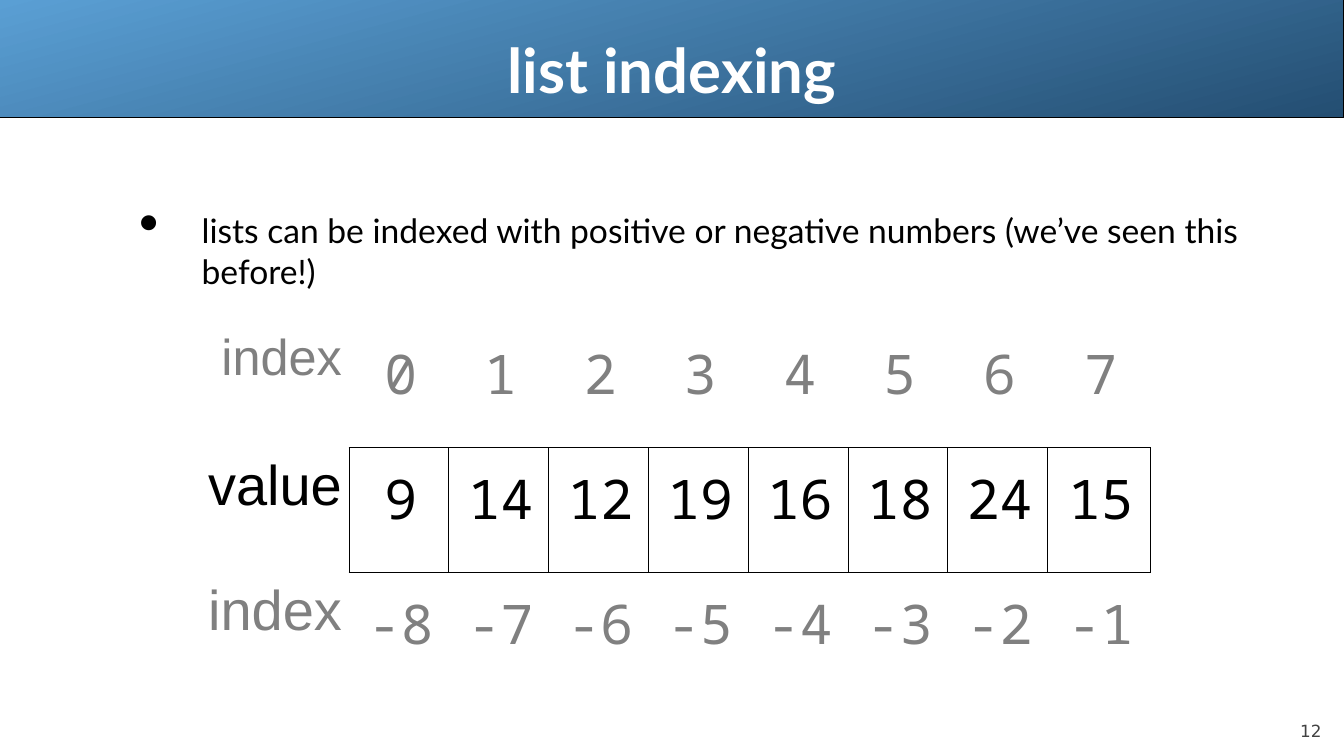
import pptx
import pptx.util
import pptx.dml.color
import pptx.enum.shapes
import pptx.enum.text
import lxml.etree
from dataclasses import dataclass

Inches, Pt = pptx.util.Inches, pptx.util.Pt
Align, Anchor = pptx.enum.text.PP_ALIGN, pptx.enum.text.MSO_ANCHOR
NS = "http://schemas.openxmlformats.org/drawingml/2006/main"
WIDE, HIGH = 13.33, 7.5


@dataclass(frozen=True)
class Theme:
    """Colours, fonts and type sizes of the slide."""
    ink: str = "000000"
    paper: str = "FFFFFF"
    dim: str = "808080"
    foot: str = "424242"
    light: str = "5A9FD4"
    dark: str = "244E72"
    sans: str = "Lato"
    label: str = "Arial"
    mono: str = "Noto Sans Mono"
    small: str = "DejaVu Sans"
    head: int = 44
    body: int = 24
    digit: int = 39
    page: int = 12


THEME = Theme()
INDEX = "index"
VALUES = (9, 14, 12, 19, 16, 18, 24, 15)


def color(code):
    """Turn a hex code into a colour."""
    return pptx.dml.color.RGBColor.from_string(code)


def node(parent, tag, **attrs):
    """Append a drawing element to a parent."""
    return lxml.etree.SubElement(parent, f"{{{NS}}}{tag}", attrs)


def place(shape, box):
    """Move a shape to a box in inches."""
    shape.left, shape.top, shape.width, shape.height = map(Inches, box)


def inset(part, left, top, right, base):
    """Set the inner margins of a frame or cell."""
    part.margin_left, part.margin_top = Inches(left), Inches(top)
    part.margin_right, part.margin_bottom = Inches(right), Inches(base)


def write(frame, text, font, size, ink, align, bold=False):
    """Fill a frame with one styled paragraph."""
    frame.text = text
    para = frame.paragraphs[0]
    para.alignment = align
    run = para.runs[0].font
    run.name, run.size, run.bold = font, Pt(size), bold
    run.color.rgb = color(ink)
    return para


def label(slide, box, anchor, pad):
    """Add an empty wrapping text box and return its frame."""
    frame = slide.shapes.add_textbox(*map(Inches, box)).text_frame
    frame.word_wrap = True
    frame.vertical_anchor = anchor
    inset(frame, pad, pad, pad, pad)
    return frame


def banner(slide, box, text):
    """Draw the shaded band with the title on it."""
    left, top, wide, high = box
    kind = pptx.enum.shapes.MSO_SHAPE.RECTANGLE
    band = slide.shapes.add_shape(kind, *map(Inches, box))
    band.shadow.inherit = False
    band.fill.gradient()
    band.fill.gradient_angle = 285
    for stop, code in zip(band.fill.gradient_stops, (THEME.light, THEME.dark)):
        stop.color.rgb = color(code)
    band.line.color.rgb = color(THEME.ink)
    band.line.width = Pt(0.75)
    title = slide.shapes.title
    title._element.addprevious(band._element)
    place(title, (left + wide * 0.2, top + high * 0.25, wide * 0.6, high * 0.67))
    frame = title.text_frame
    frame.vertical_anchor = Anchor.MIDDLE
    inset(frame, 0.06, 0.06, 0.06, 0.06)
    write(frame, text, THEME.sans, THEME.head, THEME.paper, Align.CENTER, True)


def bullet(slide, box, text):
    """Write a bulleted statement."""
    frame = label(slide, box, Anchor.MIDDLE, 0.06)
    para = write(frame, text, THEME.sans, THEME.body, THEME.ink, Align.LEFT)
    para.space_before = Pt(24)
    props = para._p.get_or_add_pPr()
    props.set("marL", str(Inches(0.97)))
    props.set("indent", str(Inches(-0.62)))
    node(node(props, "buClr"), "srgbClr", val=THEME.ink)
    node(props, "buSzPct", val="171000")
    node(props, "buChar", char="•")


def border(cell, sides):
    """Rule the named sides of a cell and clear the others."""
    props = cell._tc.get_or_add_tcPr()
    for side in "LRTB":
        line = node(props, "ln" + side, w=str(Pt(0.45)))
        if side in sides:
            node(node(line, "solidFill"), "srgbClr", val=THEME.ink)
        else:
            node(line, "noFill")
    cell.fill.background()


def grid(slide, box, values):
    """Build the table of values between both kinds of index."""
    count = len(values)
    rows = (
        (INDEX, 36, THEME.dim, range(count), "", "B"),
        ("value", 40, THEME.ink, values, "R", "LRTB"),
        (INDEX, 40, THEME.dim, range(-count, 0), "", "T"),
    )
    table = slide.shapes.add_table(len(rows), count + 1, *map(Inches, box)).table
    table.first_row = table.horz_banding = False
    widths = [1.56] + [0.99] * (count - 1) + [1.02]
    for col, width in zip(table.columns, widths):
        col.width = Inches(width)
    for i, (name, size, ink, items, edge, sides) in enumerate(rows):
        for j, text in enumerate((name, *items)):
            cell = table.cell(i, j)
            first = j == 0
            inset(cell, *((0.07, 0.11, 0.07, 0.07) if first
                          else (0.13, 0.14, 0.13, 0.13)))
            para = write(cell.text_frame, str(text),
                         THEME.label if first else THEME.mono,
                         size if first else THEME.digit, ink,
                         Align.RIGHT if first else Align.CENTER)
            para.line_spacing = 0.93 if first else 0.98
            para._p.get_or_add_pPr().set("marL", str(Inches(0.04)))
            border(cell, edge if first else sides)


def footer(slide, box, text):
    """Write the page number."""
    frame = label(slide, box, Anchor.BOTTOM, 0)
    write(frame, text, THEME.small, THEME.page, THEME.foot, Align.RIGHT)


def main():
    """Build and save the slide."""
    deck = pptx.Presentation()
    deck.slide_width, deck.slide_height = Inches(WIDE), Inches(HIGH)
    slide = deck.slides.add_slide(deck.slide_layouts[5])
    banner(slide, (0, 0, WIDE, 1.17), "list indexing")
    bullet(slide, (0.97, 1.77, 11.45, 1.43),
           "lists can be indexed with positive or negative numbers "
           "(we’ve seen this before!)")
    grid(slide, (1.9, 3.2, 9.51, 3.72), VALUES)
    footer(slide, (WIDE * 0.9, 6.95, 1.11, 0.4), "12")
    deck.save("out.pptx")


if __name__ == "__main__":
    main()
